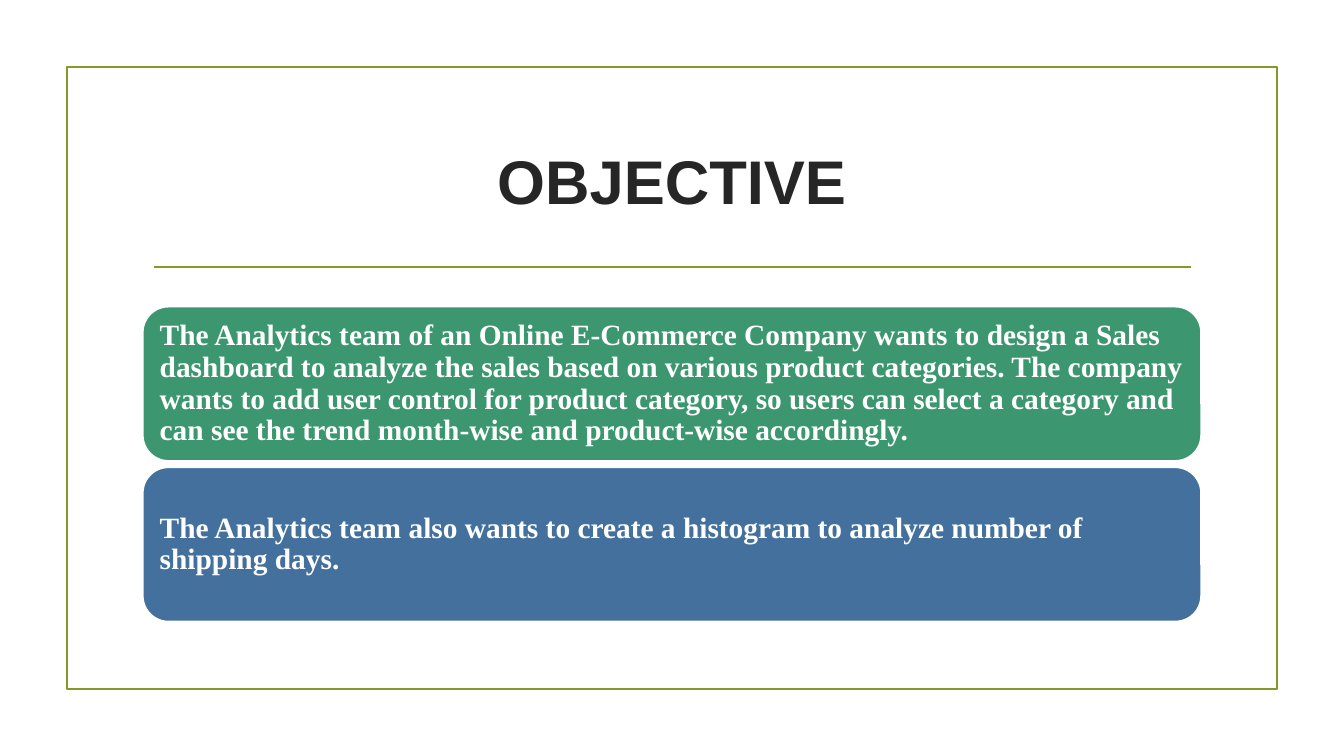
from pptx import Presentation
from pptx.dml.color import RGBColor
from pptx.enum.shapes import MSO_CONNECTOR, MSO_SHAPE
from pptx.enum.text import MSO_ANCHOR, PP_ALIGN
from pptx.oxml.ns import qn
from pptx.util import Pt
from lxml import etree

RECTANGLE = MSO_SHAPE.RECTANGLE
ROUNDED = MSO_SHAPE.ROUNDED_RECTANGLE
STRAIGHT = MSO_CONNECTOR.STRAIGHT
MIDDLE = MSO_ANCHOR.MIDDLE
LEFT, CENTER = PP_ALIGN.LEFT, PP_ALIGN.CENTER

PX = 9525
THEME = {
    "accent": RGBColor.from_string("83992A"),
    "green": RGBColor.from_string("3C9770"),
    "blue": RGBColor.from_string("44709D"),
    "white": RGBColor.from_string("FFFFFF"),
    "ink": RGBColor.from_string("262626"),
    "title_font": "Arial",
    "body_font": "Times New Roman",
    "title_size": Pt(44),
    "body_size": Pt(21),
    "line_width": Pt(1.25),
}


def write_text(shape, text, *, font, size, color, align, spacing=1.0, inset=9):
    frame = shape.text_frame
    frame.word_wrap = True
    frame.vertical_anchor = MIDDLE
    frame.margin_left = frame.margin_right = inset * PX
    frame.margin_top = frame.margin_bottom = inset * PX
    paragraph = frame.paragraphs[0]
    paragraph.alignment = align
    paragraph.line_spacing = spacing
    run = paragraph.add_run()
    run.text = text
    run.font.name = font
    run.font.size = size
    run.font.bold = True
    run.font.color.rgb = color


def set_line(item, color):
    item.line.color.rgb = color
    item.line.width = THEME["line_width"]


presentation = Presentation()
presentation.slide_width = 1280 * PX
presentation.slide_height = 720 * PX
slide = presentation.slides.add_slide(presentation.slide_layouts[5])
shapes = slide.shapes

border = shapes.add_shape(RECTANGLE, 64 * PX, 64 * PX, 1152 * PX, 592 * PX)
border.shadow.inherit = False
border.fill.background()
set_line(border, THEME["accent"])

divider = shapes.add_connector(STRAIGHT, 147 * PX, 254 * PX, 1134 * PX, 254 * PX)
set_line(divider, THEME["accent"])
etree.SubElement(divider.element.spPr, qn("a:effectLst"))

title = shapes.title
title.left, title.top = 136 * PX, 103 * PX
title.width, title.height = 1008 * PX, 137 * PX
write_text(title, "OBJECTIVE", font=THEME["title_font"], size=THEME["title_size"],
           color=THEME["ink"], align=CENTER)

objectives = [
    ("green", "The Analytics team of an Online E-Commerce Company wants to design a Sales "
              "dashboard to analyze the sales based on various product categories. The company "
              "wants to add user control for product category, so users can select a category and "
              "can see the trend month-wise and product-wise accordingly."),
    ("blue", "The Analytics team also wants to create a histogram to analyze number of "
             "shipping days."),
]
CARD_TOP, CARD_HEIGHT, CARD_PITCH = 292, 147, 153
for index, (fill, text) in enumerate(objectives):
    top = CARD_TOP + index * CARD_PITCH
    card = shapes.add_shape(ROUNDED, 136 * PX, top * PX, 1008 * PX, CARD_HEIGHT * PX)
    card.shadow.inherit = False
    card.fill.solid()
    card.fill.fore_color.rgb = THEME[fill]
    set_line(card, THEME["white"])
    write_text(card, text, font=THEME["body_font"], size=THEME["body_size"],
               color=THEME["white"], align=LEFT, spacing=0.9)

presentation.save("out.pptx")
